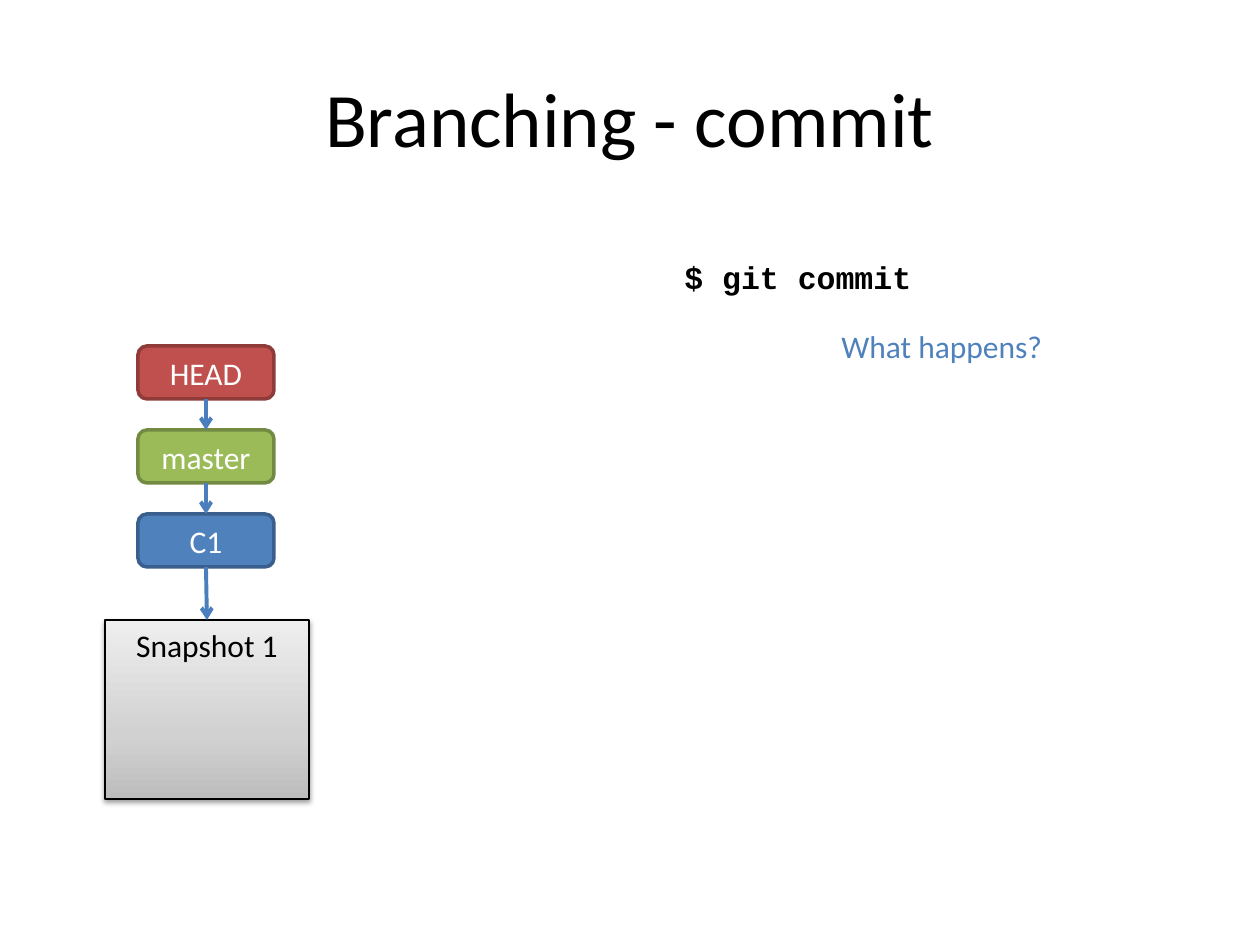
"""Build the "Branching - commit" slide with its chain of git references."""
from itertools import pairwise

from pptx import Presentation
from pptx.dml.color import RGBColor
from pptx.enum.shapes import MSO_CONNECTOR, MSO_SHAPE
from pptx.enum.text import MSO_ANCHOR, MSO_AUTO_SIZE, PP_ALIGN
from pptx.oxml import parse_xml
from pptx.oxml.ns import nsdecls, qn
from pptx.util import Emu, Pt

PX = 914400 / 126
BLACK = RGBColor(0x00, 0x00, 0x00)
WHITE = RGBColor(0xFF, 0xFF, 0xFF)
RED = RGBColor(0xC0, 0x50, 0x4D)
DARK_RED = RGBColor(0x8E, 0x3B, 0x39)
GREEN = RGBColor(0x9B, 0xBB, 0x59)
DARK_GREEN = RGBColor(0x73, 0x8A, 0x42)
BLUE = RGBColor(0x4F, 0x81, 0xBD)
DARK_BLUE = RGBColor(0x3A, 0x5F, 0x8C)
ARROW_BLUE = RGBColor(0x4B, 0x7E, 0xBC)
SNAPSHOT_STOPS = [
    (0, RGBColor(0xBD, 0xBD, 0xBD)),
    (35, RGBColor(0xD1, 0xD1, 0xD1)),
    (100, RGBColor(0xEE, 0xEE, 0xEE)),
]


def px(*lengths):
    return [Emu(round(length * PX)) for length in lengths]


def write(shape, text, *, size=18, font="Calibri", color=BLACK, bold=False,
          align=PP_ALIGN.CENTER, anchor=MSO_ANCHOR.MIDDLE):
    frame = shape.text_frame
    frame.vertical_anchor = anchor
    paragraph = frame.paragraphs[0]
    paragraph.alignment = align
    run = paragraph.add_run()
    run.text = text
    run.font.size = Pt(size)
    run.font.name = font
    run.font.bold = bold
    run.font.color.rgb = color


presentation = Presentation()
presentation.slide_width, presentation.slide_height = px(1260, 945)
slide = presentation.slides.add_slide(presentation.slide_layouts[5])
shapes = slide.shapes

title = shapes.title
title.left, title.top, title.width, title.height = px(63, 38, 1134, 158)
write(title, "Branching - commit", size=44)

chain = []
references = [
    ("HEAD", RED, DARK_RED),
    ("master", GREEN, DARK_GREEN),
    ("C1", BLUE, DARK_BLUE),
]
for row, (name, color, border) in enumerate(references):
    reference = shapes.add_shape(
        MSO_SHAPE.ROUNDED_RECTANGLE, *px(138, 346 + 84 * row, 136, 53))
    reference.shadow.inherit = False
    reference.fill.solid()
    reference.fill.fore_color.rgb = color
    reference.line.color.rgb = border
    reference.line.width = Pt(2)
    write(reference, name, color=WHITE)
    chain.append(reference)

snapshot = shapes.add_shape(MSO_SHAPE.RECTANGLE, *px(105, 620, 204, 179))
snapshot.line.color.rgb = BLACK
snapshot.line.width = Pt(0.75)
snapshot.fill.gradient()
snapshot.shadow.inherit = False
properties = snapshot.element.spPr
stops = "".join(
    f'<a:gs pos="{position * 1000}"><a:srgbClr val="{color}"/></a:gs>'
    for position, color in SNAPSHOT_STOPS)
properties.replace(properties.find(qn("a:gradFill")), parse_xml(
    f'<a:gradFill {nsdecls("a")} rotWithShape="1"><a:gsLst>{stops}</a:gsLst>'
    '<a:lin ang="16200000" scaled="0"/></a:gradFill>'))
properties.find(qn("a:effectLst")).append(parse_xml(
    f'<a:outerShdw {nsdecls("a")} blurRad="40000" dist="20000" dir="5400000" '
    f'rotWithShape="0"><a:srgbClr val="{BLACK}"><a:alpha val="38000"/>'
    '</a:srgbClr></a:outerShdw>'))
write(snapshot, "Snapshot 1", anchor=MSO_ANCHOR.TOP)
chain.append(snapshot)

for source, target in pairwise(chain):
    arrow = shapes.add_connector(MSO_CONNECTOR.STRAIGHT, 0, 0, 0, 0)
    arrow.begin_connect(source, 2)
    arrow.end_connect(target, 0)
    arrow.line.color.rgb = ARROW_BLUE
    arrow.line.width = Pt(2.25)
    arrow.line._get_or_add_ln().append(
        parse_xml(f'<a:tailEnd {nsdecls("a")} type="arrow"/>'))
    arrow.element.spPr.append(parse_xml(f'<a:effectLst {nsdecls("a")}/>'))

captions = [
    ("What happens?", (829, 321, 229, 51), {"color": BLUE}),
    ("$ git commit", (672, 252, 253, 51), {"font": "Courier New", "bold": True}),
]
for text, place, style in captions:
    caption = shapes.add_textbox(*px(*place))
    caption.text_frame.word_wrap = False
    caption.text_frame.auto_size = MSO_AUTO_SIZE.SHAPE_TO_FIT_TEXT
    write(caption, text, align=PP_ALIGN.LEFT, anchor=MSO_ANCHOR.TOP, **style)

presentation.save("out.pptx")
